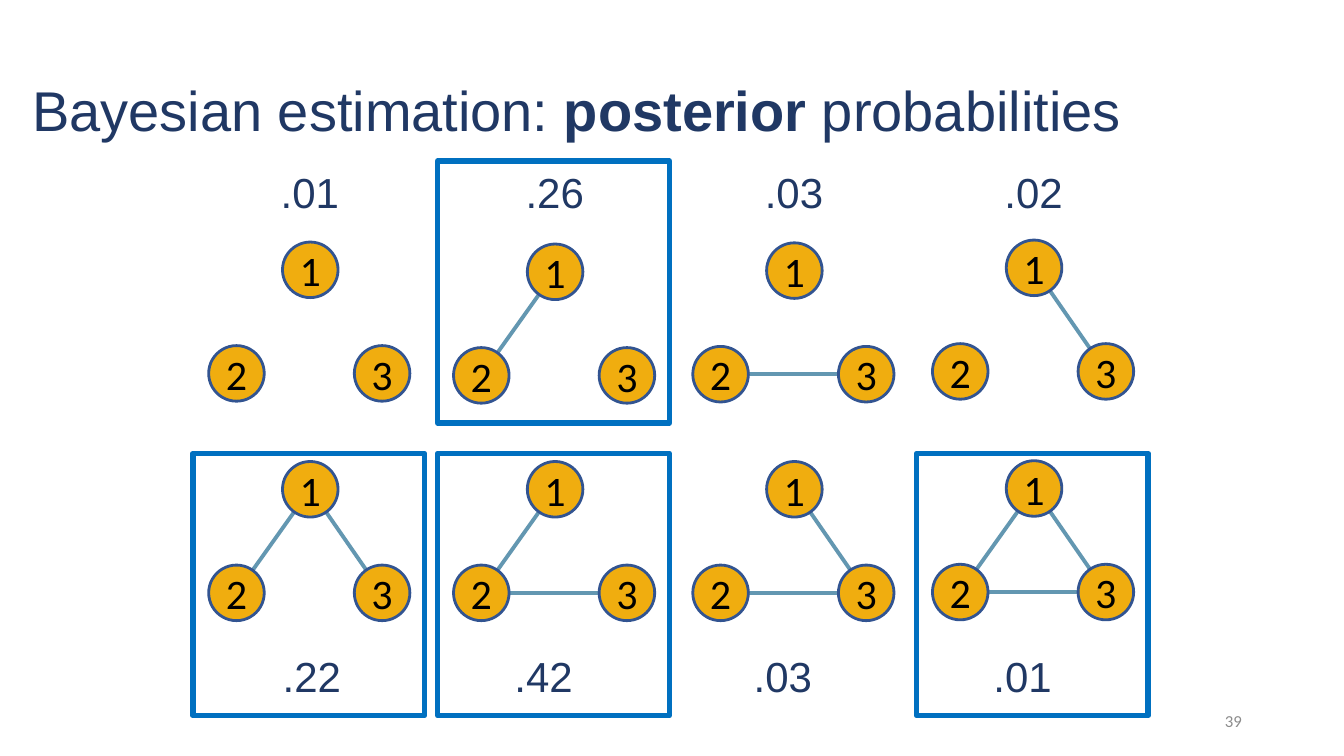
from lxml.etree import SubElement
from pptx import Presentation
from pptx.dml.color import RGBColor
from pptx.enum.shapes import MSO_CONNECTOR, MSO_SHAPE
from pptx.enum.text import MSO_ANCHOR as Anchor, MSO_AUTO_SIZE as AutoSize, PP_ALIGN as Align
from pptx.oxml.ns import qn
from pptx.util import Cm, Pt

COLORS = {"text": "203864", "frame": "0070C0", "edge": "6397B1", "node": "F0AD0F",
          "outline": "325491", "digit": "000000", "number": "8C8C8C"}
FORMATS = {
    "title": {"name": "Arial", "size": Pt(40)},
    "label": {"name": "Arial", "size": Pt(30)},
    "node": {"name": "Calibri", "size": Pt(30)},
    "number": {"name": "Calibri", "size": Pt(12)},
}
NODE_SIZE = 1.4
NODES = {1: (1.86, 0), 2: (0, 2.61), 3: (3.67, 2.61)}
PANEL_SIZE = (5.84, 6.6)
GRAPH_INDENT = 0.4
COLUMN_LEFTS = (4.86, 11.03, 17.06, 23.1)
ROWS = [
    {"top": 4.06, "label_top": 0, "panels": [
        {"value": ".01", "edges": [], "framed": False, "graph_top": 2.04, "label_left": 1.95},
        {"value": ".26", "edges": [(1, 2)], "framed": True, "graph_top": 2.09, "label_left": 1.95},
        {"value": ".03", "edges": [(3, 2)], "framed": False, "graph_top": 2.06, "label_left": 1.95},
        {"value": ".02", "edges": [(1, 3)], "framed": False, "graph_top": 1.99, "label_left": 1.95},
    ]},
    {"top": 11.43, "label_top": 4.85, "panels": [
        {"value": ".22", "edges": [(1, 2), (1, 3)], "framed": True,
         "graph_top": 0.2, "label_left": 2},
        {"value": ".42", "edges": [(3, 2), (1, 2)], "framed": True,
         "graph_top": 0.2, "label_left": 1.67},
        {"value": ".03", "edges": [(3, 2), (1, 3)], "framed": False,
         "graph_top": 0.2, "label_left": 1.67},
        {"value": ".01", "edges": [(3, 2), (1, 2), (1, 3)], "framed": True,
         "graph_top": 0.18, "label_left": 1.67},
    ]},
]


def color(name):
    """Return the named palette colour."""
    return RGBColor.from_string(COLORS[name])


def set_attributes(target, values):
    """Set every attribute listed in a dict."""
    for name, value in values.items():
        setattr(target, name, value)


def write_text(paragraph, text, style, color_name, **extra):
    """Add a formatted run to a paragraph."""
    run = paragraph.add_run()
    run.text = text
    set_attributes(run.font, {**FORMATS[style], **extra})
    run.font.color.rgb = color(color_name)


def set_line(line, color_name, width):
    """Give a line its colour and width in points."""
    line.color.rgb = color(color_name)
    line.width = Pt(width)


def add_title(slide, box):
    """Place the title with its emphasised word."""
    title = slide.shapes.title
    set_attributes(title, dict(zip(("left", "top", "width", "height"), map(Cm, box))))
    set_attributes(title.text_frame, {"word_wrap": True, "auto_size": AutoSize.NONE,
                                      "vertical_anchor": Anchor.MIDDLE})
    paragraph = title.text_frame.paragraphs[0]
    set_attributes(paragraph, {"alignment": Align.LEFT, "line_spacing": 0.9})
    for text, bold in (("Bayesian estimation: ", False), ("posterior", True),
                       (" probabilities", False)):
        write_text(paragraph, text, "title", "text", bold=bold)


def add_text(slide, box, text, style, color_name, alignment, **frame_format):
    """Place a one-line text box."""
    frame = slide.shapes.add_textbox(*map(Cm, box)).text_frame
    set_attributes(frame, frame_format)
    paragraph = frame.paragraphs[0]
    paragraph.alignment = alignment
    write_text(paragraph, text, style, color_name)


def add_frame(slide, box):
    """Draw the highlight around a panel."""
    frame = slide.shapes.add_shape(MSO_SHAPE.RECTANGLE, *map(Cm, box))
    frame.shadow.inherit = False
    frame.fill.background()
    set_line(frame.line, "frame", 4)


def add_graph(slide, left, top, edges):
    """Draw a grouped three-node graph, with its edges behind the nodes."""
    shapes = slide.shapes.add_group_shape().shapes
    centers = {node: (Cm(left + x + NODE_SIZE / 2), Cm(top + y + NODE_SIZE / 2))
               for node, (x, y) in NODES.items()}
    for start, end in edges:
        edge = shapes.add_connector(MSO_CONNECTOR.STRAIGHT, *centers[start], *centers[end])
        set_line(edge.line, "edge", 2.75)
        SubElement(edge._element.spPr, qn("a:effectLst"))
    for node, (x, y) in NODES.items():
        circle = shapes.add_shape(MSO_SHAPE.OVAL, Cm(left + x), Cm(top + y),
                                  Cm(NODE_SIZE), Cm(NODE_SIZE))
        circle.shadow.inherit = False
        circle.fill.solid()
        circle.fill.fore_color.rgb = color("node")
        set_line(circle.line, "outline", 2)
        set_attributes(circle.text_frame, {
            "margin_left": 0, "margin_right": 0, "margin_top": 0, "margin_bottom": 0,
            "word_wrap": False, "vertical_anchor": Anchor.MIDDLE})
        paragraph = circle.text_frame.paragraphs[0]
        paragraph.alignment = Align.CENTER
        write_text(paragraph, str(node), "node", "digit")


def add_panel(slide, box, panel, label_top):
    """Place one graph with its probability and optional highlight."""
    left, top = box[:2]
    if panel["framed"]:
        add_frame(slide, box)
    add_graph(slide, left + GRAPH_INDENT, top + panel["graph_top"], panel["edges"])
    add_text(slide, (left + panel["label_left"], top + label_top, 2, 1.45), panel["value"],
             "label", "text", Align.CENTER, word_wrap=False)


def main():
    """Build and save the slide."""
    presentation = Presentation()
    presentation.slide_width, presentation.slide_height = Cm(33.87), Cm(19.05)
    slide = presentation.slides.add_slide(presentation.slide_layouts[5])
    add_title(slide, (0.56, 1.02, 30.99, 3.68))
    for row in ROWS:
        for left, panel in zip(COLUMN_LEFTS, row["panels"]):
            add_panel(slide, (left, row["top"], *PANEL_SIZE), panel, row["label_top"])
    add_text(slide, (23.93, 17.65, 7.62, 1.02), "39", "number", "number", Align.RIGHT,
             word_wrap=True, vertical_anchor=Anchor.MIDDLE)
    presentation.save("out.pptx")


if __name__ == "__main__":
    main()
